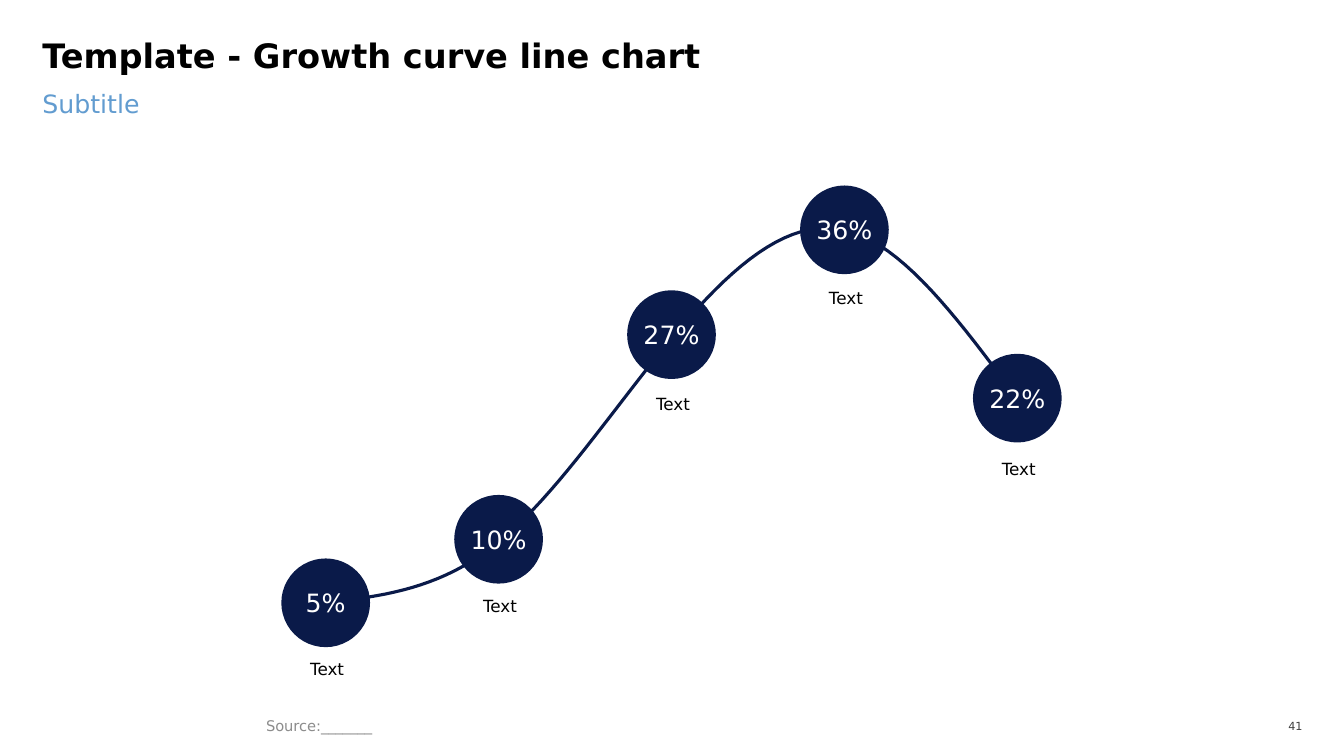
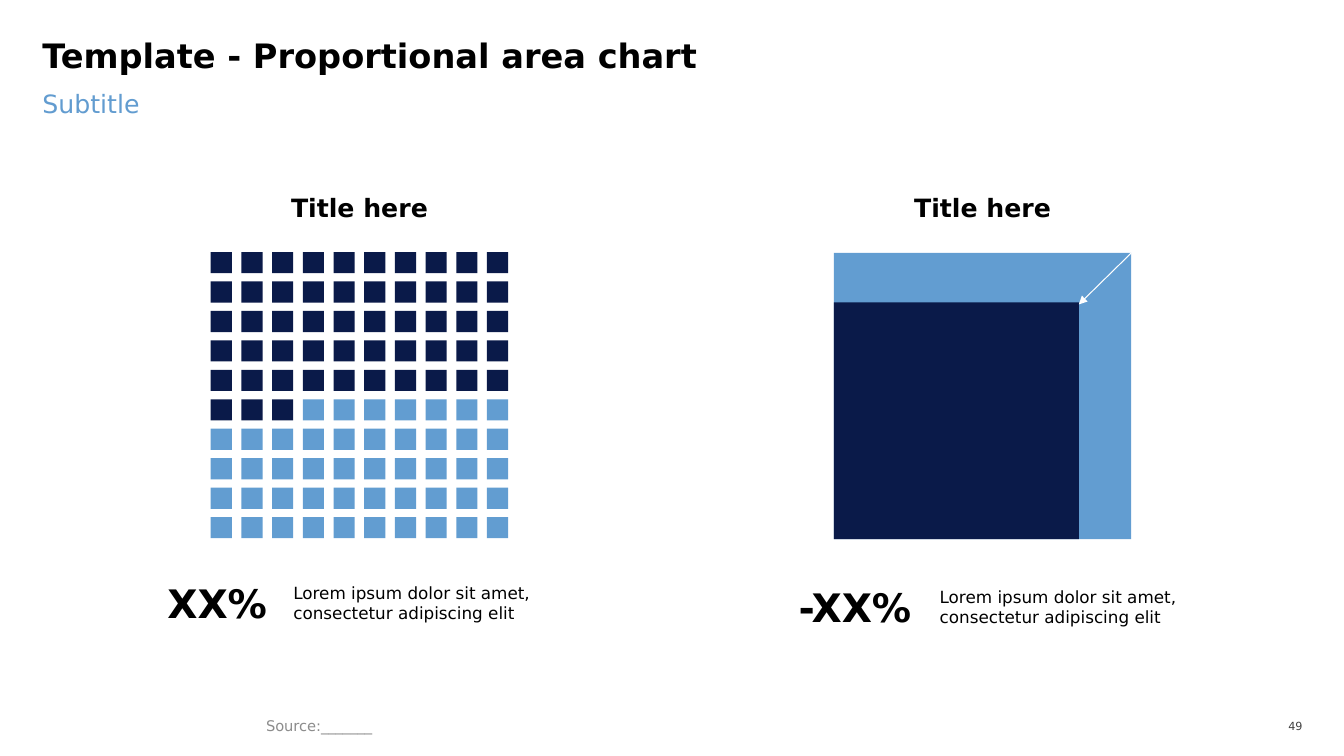
from dataclasses import dataclass

from lxml import etree
from pptx import Presentation
from pptx.chart.data import CategoryChartData
from pptx.dml.color import RGBColor
from pptx.enum.chart import XL_CHART_TYPE, XL_MARKER_STYLE
from pptx.enum.shapes import MSO_CONNECTOR, MSO_SHAPE
from pptx.enum.text import MSO_ANCHOR, MSO_AUTO_SIZE, PP_ALIGN
from pptx.oxml import parse_xml
from pptx.oxml.ns import nsdecls, qn
from pptx.util import Inches, Pt

LEFT, CENTER, RIGHT = PP_ALIGN.LEFT, PP_ALIGN.CENTER, PP_ALIGN.RIGHT
TOP, MIDDLE = MSO_ANCHOR.TOP, MSO_ANCHOR.MIDDLE
RECTANGLE, OVAL = MSO_SHAPE.RECTANGLE, MSO_SHAPE.OVAL
STRAIGHT = MSO_CONNECTOR.STRAIGHT
LINE_MARKERS = XL_CHART_TYPE.LINE_MARKERS
CIRCLE = XL_MARKER_STYLE.CIRCLE
NO_AUTOFIT = MSO_AUTO_SIZE.NONE


@dataclass(frozen=True)
class Theme:
    font: str = "DejaVu Sans"
    navy: RGBColor = RGBColor(0x0A, 0x1A, 0x49)
    blue: RGBColor = RGBColor(0x62, 0x9D, 0xD1)
    subtitle_blue: RGBColor = RGBColor(0x62, 0x9C, 0xD0)
    black: RGBColor = RGBColor(0, 0, 0)
    dark_gray: RGBColor = RGBColor(0x40, 0x40, 0x40)
    gray: RGBColor = RGBColor(0x8C, 0x8C, 0x8C)
    white: RGBColor = RGBColor(0xFF, 0xFF, 0xFF)
    figure_size: float = 28
    title_size: float = 24
    heading_size: float = 18
    body_size: float = 12
    source_size: float = 10.5
    chart_size: float = 10
    number_size: float = 8


THEME = Theme()


def write(box, text, size, color=THEME.black, bold=False, align=LEFT,
          anchor=TOP, wrap=True, inset=(0, 0), spacing=None):
    """Fill a shape with one formatted paragraph."""
    frame = box.text_frame
    side, edge = (Inches(value) for value in inset)
    frame_format = {
        "text": text, "word_wrap": wrap, "auto_size": NO_AUTOFIT,
        "vertical_anchor": anchor, "margin_left": side, "margin_right": side,
        "margin_top": edge, "margin_bottom": edge,
    }
    for name, value in frame_format.items():
        setattr(frame, name, value)
    para = frame.paragraphs[0]
    para.alignment, para.line_spacing = align, spacing
    font_format = {"name": THEME.font, "size": Pt(size), "bold": bold}
    span = para.runs[0]
    for name, value in font_format.items():
        setattr(span.font, name, value)
    span.font.color.rgb = color


def add_block(shapes, kind, place, color):
    """Add a plain filled shape without outline or shadow."""
    block = shapes.add_shape(kind, *map(Inches, place))
    block.shadow.inherit = False
    block.fill.solid()
    block.fill.fore_color.rgb = color
    block.line.fill.background()
    return block


deck = Presentation()
deck.slide_width, deck.slide_height = Inches(13.33), Inches(7.5)

# Title, subtitle, source and page number on every slide
pages = []
for title, number in [("Template - Growth curve line chart", "41"),
                      ("Template - Proportional area chart", "49")]:
    page = deck.slides.add_slide(deck.slide_layouts[5])
    heading = page.shapes.title
    heading.left, heading.top = Inches(0.42), Inches(0.42)
    heading.width, heading.height = Inches(12.49), Inches(0.53)
    write(heading, title, THEME.title_size, bold=True, spacing=0.8)
    frame_texts = [
        ((0.42, 0.88, 12.49, 0.63), "Subtitle",
         {"size": THEME.heading_size, "color": THEME.subtitle_blue}),
        ((2.54, 7.07, 6.39, 0.26), "Source:_______",
         {"size": THEME.source_size, "color": THEME.gray, "anchor": MIDDLE,
          "inset": (0.1, 0.05)}),
        ((12.5, 7.09, 0.42, 0.23), number,
         {"size": THEME.number_size, "color": THEME.dark_gray,
          "align": RIGHT, "anchor": MIDDLE}),
    ]
    for place, text, style in frame_texts:
        write(page.shapes.add_textbox(*map(Inches, place)), text, **style)
    pages.append(page)
growth_page, area_page = pages

# Growth curve
data = CategoryChartData(number_format="General")
data.categories = ["1", "2", "3", "4", "5"]
data.add_series("Series 1", (14, 28, 75, 100, 61))
chart = growth_page.shapes.add_chart(
    LINE_MARKERS, Inches(2.22), Inches(1.66), Inches(8.89), Inches(5.05),
    data).chart
chart.has_legend = chart.has_title = False
chart.font.name, chart.font.size = THEME.font, Pt(THEME.chart_size)
chart.font.color.rgb = THEME.black
chart.plots[0].vary_by_categories = False
value_axis = chart.value_axis
value_axis.minimum_scale, value_axis.maximum_scale = 0, 110
value_axis.has_major_gridlines = False
value_axis.tick_labels.number_format = "0%"
value_axis.tick_labels.number_format_is_linked = False
value_axis.visible = chart.category_axis.visible = False
curve = chart.plots[0].series[0]
curve.smooth = True
curve.format.line.width = Pt(2.25)
curve.format.line.color.rgb = THEME.navy
curve.marker.style, curve.marker.size = CIRCLE, 8
curve.marker.format.fill.solid()
curve.marker.format.fill.fore_color.rgb = THEME.navy
curve.marker.format.line.color.rgb = THEME.navy

# Fixed plot area, so that the points meet the circles
plot_area = chart._chartSpace.chart.plotArea
for old_layout in plot_area.findall(qn("c:layout")):
    plot_area.remove(old_layout)
plot_area.insert(0, parse_xml(
    f'<c:layout {nsdecls("c")}><c:manualLayout>'
    '<c:layoutTarget val="inner"/><c:xMode val="edge"/><c:yMode val="edge"/>'
    '<c:x val="0.017"/><c:y val="0.038"/><c:w val="0.965"/><c:h val="0.937"/>'
    '</c:manualLayout></c:layout>'))

# Circles with their labels
circle_size, circle_pitch = 0.88, 1.715
points = [("5%", 5.54, 6.54), ("10%", 4.91, 5.91), ("27%", 2.88, 3.91),
          ("36%", 1.84, 2.85), ("22%", 3.51, 4.55)]
for index, (share, circle_top, label_top) in enumerate(points):
    left = 2.79 + index * circle_pitch
    circle = add_block(growth_page.shapes, OVAL,
                       (left, circle_top, circle_size, circle_size),
                       THEME.navy)
    write(circle, share, THEME.heading_size, THEME.white, align=CENTER,
          anchor=MIDDLE)
    label = growth_page.shapes.add_textbox(
        Inches(left - 0.28), Inches(label_top), Inches(1.47), Inches(0.2))
    write(label, "Text", THEME.body_size, align=CENTER)

# Grid of 100 squares
grid_left, grid_top, grid_width, grid_height = 2.09, 2.5, 2.95, 2.84
count, square, dark_squares = 10, 0.21, 53
column_pitch = (grid_width - square) / (count - 1)
row_pitch = (grid_height - square) / (count - 1)
grid = area_page.shapes.add_group_shape()
for index in range(count * count):
    row, column = divmod(index, count)
    add_block(grid.shapes, RECTANGLE,
              (grid_left + column * column_pitch, grid_top + row * row_pitch,
               square, square),
              THEME.navy if index < dark_squares else THEME.blue)

# Nested areas with an arrow between their corners
add_block(area_page.shapes, RECTANGLE, (8.27, 2.51, 2.95, 2.84), THEME.blue)
add_block(area_page.shapes, RECTANGLE, (8.27, 3, 2.43, 2.35), THEME.navy)
arrow = area_page.shapes.add_connector(
    STRAIGHT, Inches(11.22), Inches(2.51), Inches(10.7), Inches(3.02))
arrow.line.width = Pt(0.75)
arrow.line.color.rgb = THEME.white
etree.SubElement(arrow.line._get_or_add_ln(), qn("a:tailEnd"), type="triangle")
etree.SubElement(arrow._element.spPr, qn("a:effectLst"))

# Headings, figures and descriptions of both charts
panels = [(2.09, "XX%", 1.66, 5.67, 2.91), (8.27, "-XX%", 7.92, 5.71, 9.32)]
for heading_left, figure, figure_left, figure_top, note_left in panels:
    panel_texts = [
        ((heading_left, 1.86, 2.95, 0.4), "Title here",
         {"size": THEME.heading_size, "bold": True, "align": CENTER,
          "inset": (0.1, 0.05)}),
        ((figure_left, figure_top, 1.21, 0.63), figure,
         {"size": THEME.figure_size, "bold": True, "anchor": MIDDLE,
          "wrap": False}),
        ((note_left, figure_top + 0.11, 2.73, 0.4),
         "Lorem ipsum dolor sit amet, consectetur adipiscing elit",
         {"size": THEME.body_size}),
    ]
    for place, text, style in panel_texts:
        write(area_page.shapes.add_textbox(*map(Inches, place)), text, **style)

deck.save("out.pptx")
